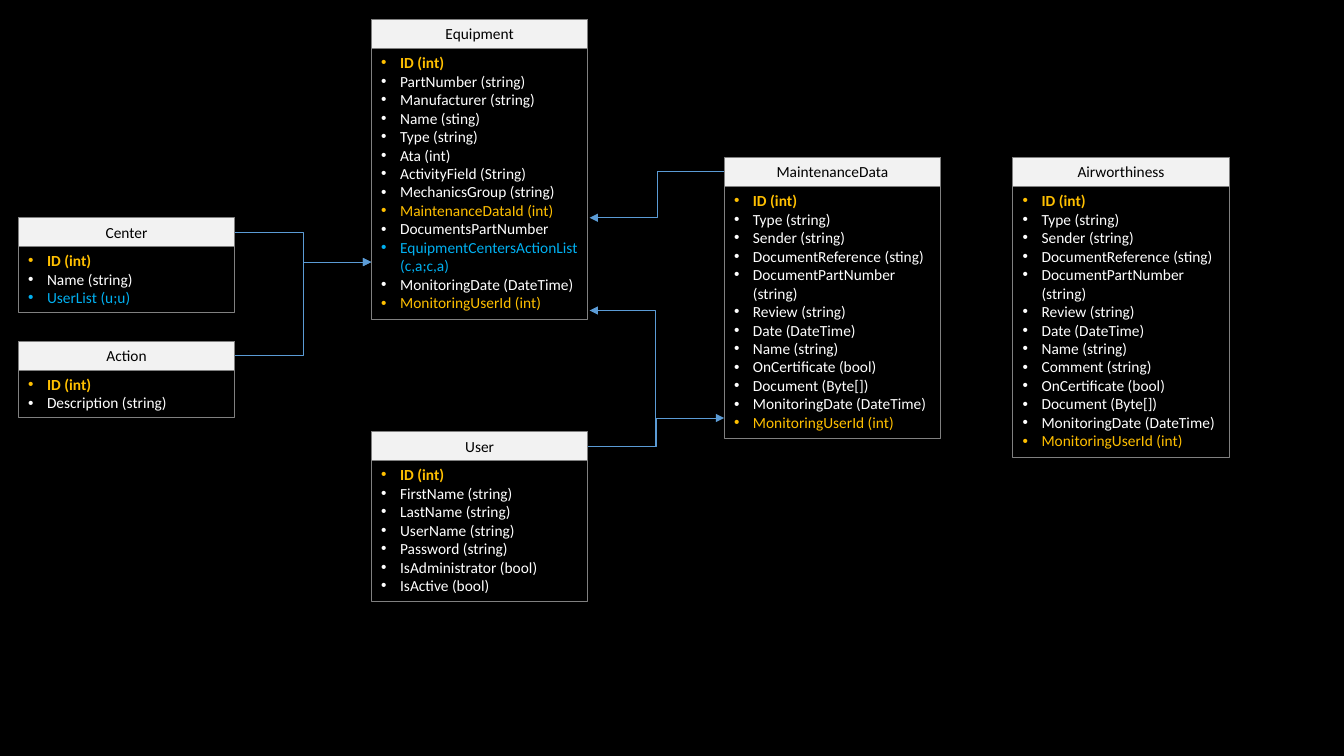
from dataclasses import dataclass

from lxml import etree
from pptx import Presentation
from pptx.dml.color import RGBColor
from pptx.enum.shapes import MSO_CONNECTOR, MSO_SHAPE
from pptx.enum.text import MSO_ANCHOR, MSO_AUTO_SIZE, PP_ALIGN
from pptx.oxml.ns import qn
from pptx.shapes.autoshape import Shape
from pptx.slide import Slide
from pptx.text.text import _Paragraph as Paragraph
from pptx.util import Pt

RECTANGLE = MSO_SHAPE.RECTANGLE
ELBOW = MSO_CONNECTOR.ELBOW
CENTER, LEFT = PP_ALIGN.CENTER, PP_ALIGN.LEFT
MIDDLE, TOP = MSO_ANCHOR.MIDDLE, MSO_ANCHOR.TOP
GROW = MSO_AUTO_SIZE.SHAPE_TO_FIT_TEXT

COLORS = {
    "background": "000000",
    "header": "F2F2F2",
    "header_text": "000000",
    "border": "808080",
    "field": "FFFFFF",
    "key": "FFC000",
    "list": "00B0F0",
    "arrow": "5B9BD5",
}
FONT, FONT_SIZE = "Calibri", 11

# Grid, in points
ENTITY_WIDTH = 154.8
HEADER_HEIGHT = 20.6
LINE_HEIGHT = 13.32
BODY_MARGINS = 7.2
BULLET_INDENT = 13.5
LINE_CHARACTERS = 26
COLUMNS = [13, 265.2, 517.2, 723.4]
TIP_GAP = 1.2


@dataclass
class Entity:
    name: str
    column: int
    top: float
    fields: list[str]

    @property
    def left(self) -> float:
        return COLUMNS[self.column]

    @property
    def right(self) -> float:
        return self.left + ENTITY_WIDTH

    @property
    def header_middle(self) -> float:
        return self.top + HEADER_HEIGHT / 2

    @property
    def body_height(self) -> float:
        wrapped = sum(len(field) > LINE_CHARACTERS for field in self.fields)
        return BODY_MARGINS + LINE_HEIGHT * (len(self.fields) + wrapped)


@dataclass
class Relation:
    source: str
    target: str
    tip_y: float
    gap: float = 0


DOCUMENT_START = ["ID (int)", "Type (string)", "Sender (string)", "DocumentReference (sting)",
                  "DocumentPartNumber (string)", "Review (string)", "Date (DateTime)",
                  "Name (string)"]
DOCUMENT_END = ["OnCertificate (bool)", "Document (Byte[])", "MonitoringDate (DateTime)",
                "MonitoringUserId (int)"]

ENTITIES = [
    Entity("Equipment", 1, 13.8, [
        "ID (int)", "PartNumber (string)", "Manufacturer (string)", "Name (sting)",
        "Type (string)", "Ata (int)", "ActivityField (String)", "MechanicsGroup (string)",
        "MaintenanceDataId (int)", "DocumentsPartNumber",
        "EquipmentCentersActionList (c,a;c,a)", "MonitoringDate (DateTime)",
        "MonitoringUserId (int)"]),
    Entity("Action", 0, 243.8, ["ID (int)", "Description (string)"]),
    Entity("Center", 0, 155.5, ["ID (int)", "Name (string)", "UserList (u;u)"]),
    Entity("User", 1, 308.3, [
        "ID (int)", "FirstName (string)", "LastName (string)", "UserName (string)",
        "Password (string)", "IsAdministrator (bool)", "IsActive (bool)"]),
    Entity("MaintenanceData", 2, 112.4, DOCUMENT_START + DOCUMENT_END),
    Entity("Airworthiness", 3, 112.4, DOCUMENT_START + ["Comment (string)"] + DOCUMENT_END),
]

RELATIONS = [
    Relation("Center", "Equipment", 187.2),
    Relation("Action", "Equipment", 187.2),
    Relation("User", "Equipment", 221.8, TIP_GAP),
    Relation("MaintenanceData", "Equipment", 155.5, TIP_GAP),
    Relation("User", "MaintenanceData", 298.6),
]


def color(name: str) -> RGBColor:
    return RGBColor.from_string(COLORS[name])


def field_color(field: str) -> str:
    """Keys end in ID or Id, lists end in List."""
    name = field.split()[0]
    if name.lower().endswith("id"):
        return "key"
    return "list" if name.endswith("List") else "field"


def format_run(paragraph: Paragraph, color_name: str, bold: bool = False) -> None:
    font = paragraph.runs[0].font
    font.name, font.size, font.bold = FONT, Pt(FONT_SIZE), bold
    font.color.rgb = color(color_name)


def add_bullet(paragraph: Paragraph) -> None:
    properties = paragraph._p.get_or_add_pPr()
    properties.set("marL", str(Pt(BULLET_INDENT)))
    properties.set("indent", str(-Pt(BULLET_INDENT)))
    etree.SubElement(properties, qn("a:buFont"), typeface="Arial")
    etree.SubElement(properties, qn("a:buChar"), char="•")


def add_box(slide: Slide, left: float, top: float, height: float) -> Shape:
    shape = slide.shapes.add_shape(RECTANGLE, Pt(left), Pt(top), Pt(ENTITY_WIDTH), Pt(height))
    shape.shadow.inherit = False
    shape.line.color.rgb = color("border")
    shape.line.width = Pt(0.75)
    shape.text_frame.word_wrap = True
    shape.text_frame.auto_size = GROW
    return shape


def add_entity(slide: Slide, entity: Entity) -> None:
    header = add_box(slide, entity.left, entity.top, HEADER_HEIGHT)
    header.fill.solid()
    header.fill.fore_color.rgb = color("header")
    header.text_frame.vertical_anchor = MIDDLE
    header.text_frame.text = entity.name
    title = header.text_frame.paragraphs[0]
    title.alignment = CENTER
    format_run(title, "header_text")

    body = add_box(slide, entity.left, entity.top + HEADER_HEIGHT, entity.body_height)
    body.fill.background()
    body.text_frame.vertical_anchor = TOP
    body.text_frame.text = "\n".join(entity.fields)
    for field, paragraph in zip(entity.fields, body.text_frame.paragraphs):
        paragraph.alignment = LEFT
        add_bullet(paragraph)
        format_run(paragraph, field_color(field), bold=field.startswith("ID "))


def add_relation(slide: Slide, relation: Relation, entities: dict[str, Entity]) -> None:
    source, target = entities[relation.source], entities[relation.target]
    start_x = source.left if source.column > target.column else source.right
    end_x = target.left if source.column < target.column else target.right + relation.gap
    connector = slide.shapes.add_connector(
        ELBOW, Pt(start_x), Pt(source.header_middle), Pt(end_x), Pt(relation.tip_y))
    connector.line.color.rgb = color("arrow")
    connector.line.width = Pt(0.5)
    etree.SubElement(connector.line._get_or_add_ln(), qn("a:tailEnd"), type="triangle")
    etree.SubElement(connector._element.spPr, qn("a:effectLst"))

    # Within one column, the bend goes out to the middle of the gap on the right
    if source.column == target.column:
        lane = (source.right + COLUMNS[source.column + 1]) / 2
        bend = round((lane - start_x) / (end_x - start_x) * 100000)
        geometry = connector._element.spPr.find(qn("a:prstGeom"))
        guides = geometry.find(qn("a:avLst"))
        etree.SubElement(guides, qn("a:gd"), name="adj1", fmla=f"val {bend}")


# Slide
presentation = Presentation()
presentation.slide_width, presentation.slide_height = Pt(960), Pt(540)
slide = presentation.slides.add_slide(presentation.slide_layouts[6])
slide.background.fill.solid()
slide.background.fill.fore_color.rgb = color("background")

# Entities and the relations between them
for entity in ENTITIES:
    add_entity(slide, entity)
entities_by_name = {entity.name: entity for entity in ENTITIES}
for relation in RELATIONS:
    add_relation(slide, relation, entities_by_name)

presentation.save("out.pptx")
